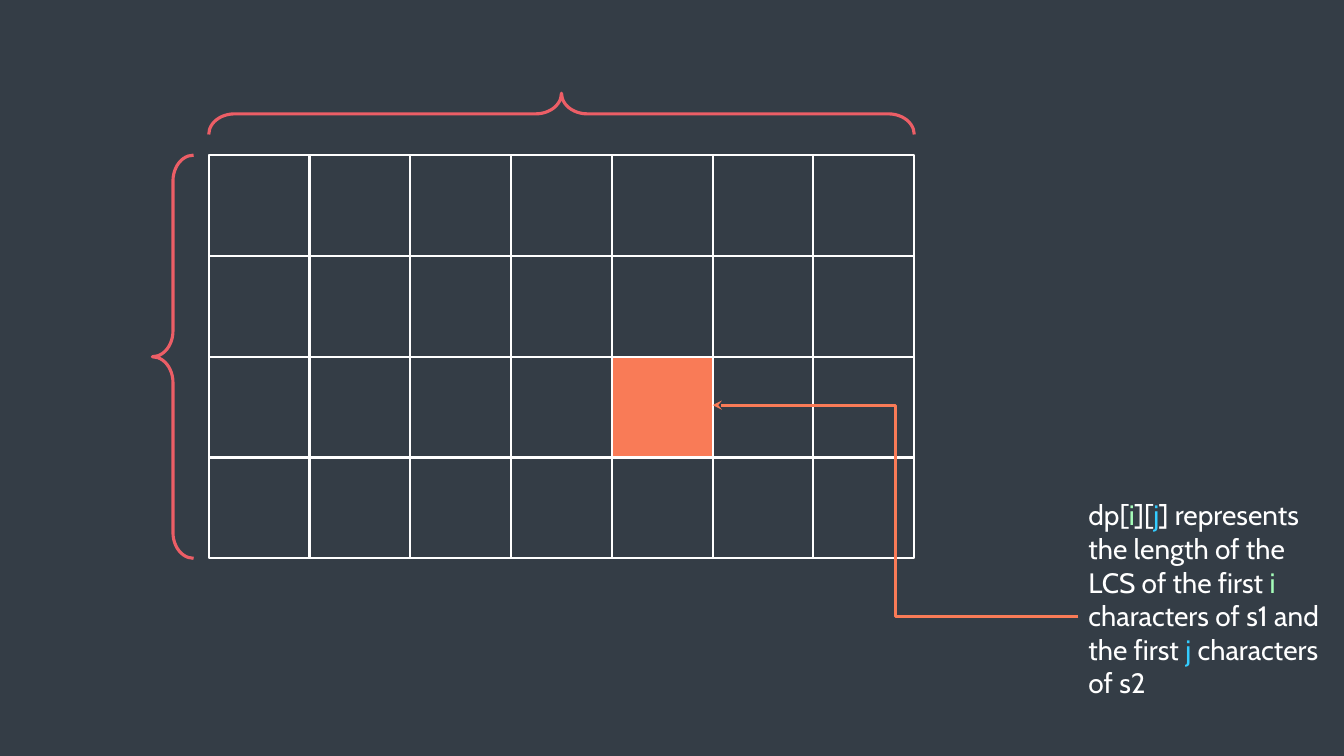
from dataclasses import dataclass

import lxml.etree
import pptx
import pptx.dml.color
import pptx.dml.line
import pptx.enum.shapes
import pptx.enum.text
import pptx.oxml.ns
import pptx.shapes.autoshape
import pptx.slide
import pptx.text.text
import pptx.util
from pptx.util import Cm


@dataclass(frozen=True)
class Theme:
    background: str = "343D46"
    white: str = "FFFFFF"
    highlight: str = "F97B57"
    brace: str = "EC5E66"
    row_index: str = "A5FDB9"
    column_index: str = "33CCFF"
    font: str = "Cabin"
    text_size: float = 20
    grid_line: float = 1.5
    accent_line: float = 2.25


@dataclass(frozen=True)
class Grid:
    left: float
    top: float
    cell: float
    rows: int
    columns: int
    marked: tuple[int, int]

    @property
    def width(self) -> float:
        return self.columns * self.cell

    @property
    def height(self) -> float:
        return self.rows * self.cell


@dataclass(frozen=True)
class Brace:
    center_x: float
    center_y: float
    length: float
    rotation: float = 0


@dataclass(frozen=True)
class Span:
    text: str
    color: str


THEME = Theme()
GRID = Grid(left=5.26, top=3.91, cell=2.54, rows=4, columns=7, marked=(2, 4))
BRACE_DEPTH = 1.04
BRACES = [
    Brace(GRID.left - 0.9, GRID.top + GRID.height / 2, GRID.height),
    Brace(GRID.left + GRID.width / 2, GRID.top - 1.04, GRID.width, rotation=90),
]
EXPLANATION = [
    Span("dp[", THEME.white),
    Span("i", THEME.row_index),
    Span("][", THEME.white),
    Span("j", THEME.column_index),
    Span("] represents the length of the LCS of the first ", THEME.white),
    Span("i", THEME.row_index),
    Span(" characters of s1 and the first ", THEME.white),
    Span("j", THEME.column_index),
    Span(" characters of s2", THEME.white),
]


def rgb(color: str) -> pptx.dml.color.RGBColor:
    return pptx.dml.color.RGBColor.from_string(color)


def style_line(line: pptx.dml.line.LineFormat, color: str, width: float) -> None:
    line.color.rgb = rgb(color)
    line.width = pptx.util.Pt(width)


def add_outline(
    page: pptx.slide.Slide,
    kind: pptx.enum.shapes.MSO_SHAPE,
    left: float,
    top: float,
    width: float,
    height: float,
    color: str,
    line_width: float,
) -> pptx.shapes.autoshape.Shape:
    shape = page.shapes.add_shape(kind, Cm(left), Cm(top), Cm(width), Cm(height))
    shape.shadow.inherit = False
    shape.fill.background()
    style_line(shape.line, color, line_width)
    return shape


def draw_grid(page: pptx.slide.Slide, grid: Grid) -> None:
    for row in range(grid.rows):
        for column in range(grid.columns):
            cell = add_outline(
                page,
                pptx.enum.shapes.MSO_SHAPE.RECTANGLE,
                grid.left + column * grid.cell,
                grid.top + row * grid.cell,
                grid.cell,
                grid.cell,
                THEME.white,
                THEME.grid_line,
            )
            if (row, column) == grid.marked:
                cell.fill.solid()
                cell.fill.fore_color.rgb = rgb(THEME.highlight)


def draw_brace(page: pptx.slide.Slide, brace: Brace) -> None:
    shape = add_outline(
        page,
        pptx.enum.shapes.MSO_SHAPE.LEFT_BRACE,
        brace.center_x - BRACE_DEPTH / 2,
        brace.center_y - brace.length / 2,
        BRACE_DEPTH,
        brace.length,
        THEME.brace,
        THEME.accent_line,
    )
    shape.rotation = brace.rotation
    shape.adjustments[0] = 0.625
    shape.adjustments[1] = 0.5


def write_text(
    para: pptx.text.text._Paragraph,
    text: str,
    *,
    color: str = THEME.white,
    size: float = THEME.text_size,
    font: str = THEME.font,
) -> None:
    span = para.add_run()
    span.text = text
    span.font.name = font
    span.font.size = pptx.util.Pt(size)
    span.font.color.rgb = rgb(color)


def draw_explanation(page: pptx.slide.Slide, spans: list[Span]) -> None:
    box = page.shapes.add_textbox(Cm(27.18), Cm(12.42), Cm(6.5), Cm(6.25))
    box.text_frame.word_wrap = True
    box.text_frame.auto_size = pptx.enum.text.MSO_AUTO_SIZE.SHAPE_TO_FIT_TEXT
    para = box.text_frame.paragraphs[0]
    for span in spans:
        write_text(para, span.text, color=span.color)


def draw_arrow(page: pptx.slide.Slide) -> None:
    arrow = page.shapes.add_connector(
        pptx.enum.shapes.MSO_CONNECTOR.ELBOW, Cm(27.18), Cm(15.54), Cm(17.96), Cm(10.21)
    )
    style_line(arrow.line, THEME.highlight, THEME.accent_line)
    qn = pptx.oxml.ns.qn
    lxml.etree.SubElement(arrow.line._get_or_add_ln(), qn("a:tailEnd"), type="stealth")
    lxml.etree.SubElement(arrow._element.spPr, qn("a:effectLst"))


def main() -> None:
    deck = pptx.Presentation()
    deck.slide_width = Cm(33.87)
    deck.slide_height = Cm(19.05)
    page = deck.slides.add_slide(deck.slide_layouts[6])
    page.background.fill.solid()
    page.background.fill.fore_color.rgb = rgb(THEME.background)
    draw_grid(page, GRID)
    for brace in BRACES:
        draw_brace(page, brace)
    draw_explanation(page, EXPLANATION)
    draw_arrow(page)
    deck.save("out.pptx")


if __name__ == "__main__":
    main()
